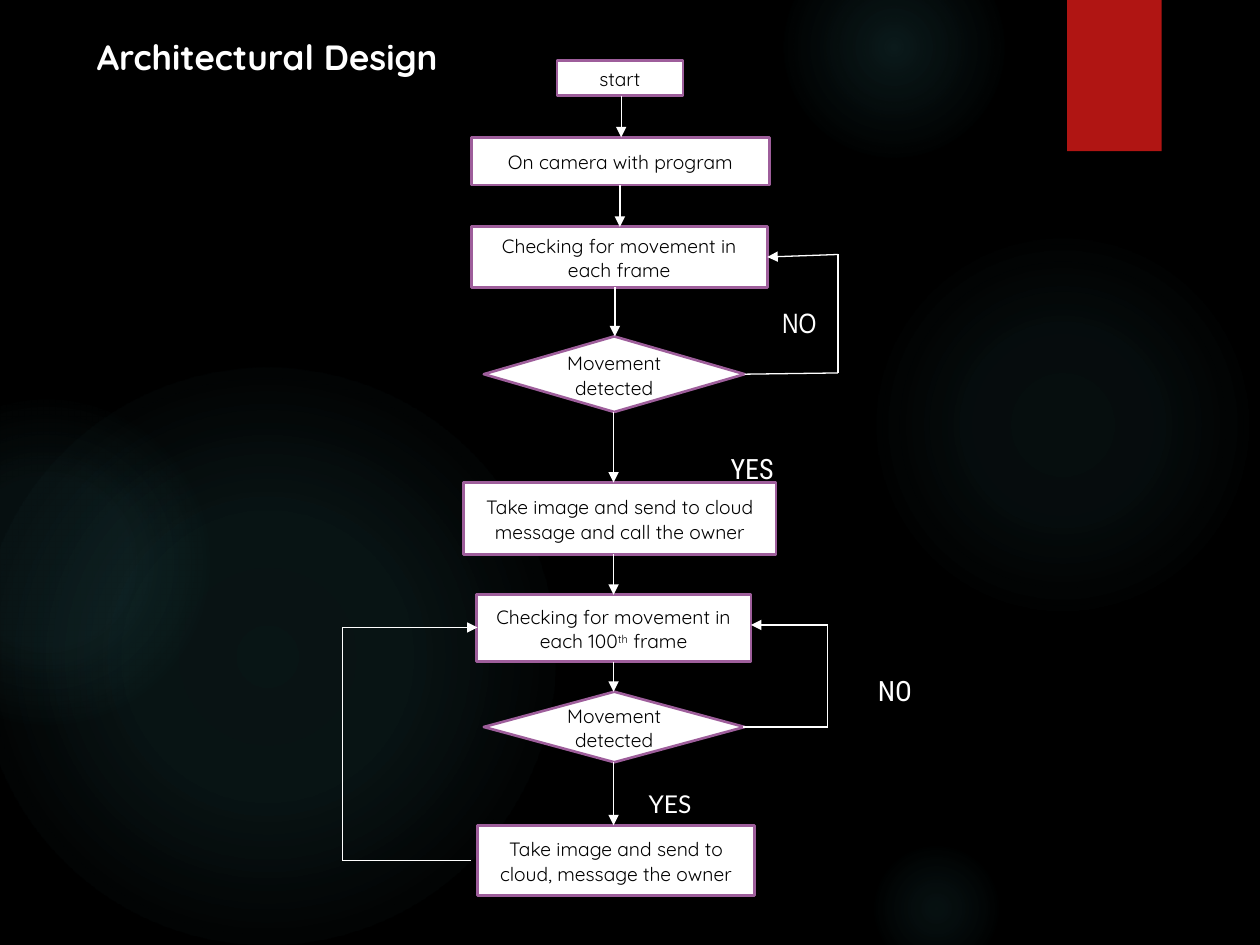
from itertools import pairwise

from lxml import etree
from pptx import Presentation
from pptx.dml.color import RGBColor
from pptx.enum.shapes import MSO_CONNECTOR, MSO_SHAPE
from pptx.enum.text import MSO_ANCHOR, PP_ALIGN
from pptx.oxml import parse_xml
from pptx.oxml.ns import nsdecls, qn
from pptx.util import Inches, Pt

WIDTH, HEIGHT = Inches(10), Inches(7.5)
COLUMN, ROW = WIDTH / 100, HEIGHT / 75

BLACK = RGBColor(0x00, 0x00, 0x00)
WHITE = RGBColor(0xFF, 0xFF, 0xFF)
PURPLE = RGBColor(0x9E, 0x5E, 0x9B)
RED = RGBColor(0xB0, 0x15, 0x13)
TEAL = RGBColor(0x50, 0xB9, 0xC1)

RECTANGLE = MSO_SHAPE.RECTANGLE
DECISION = MSO_SHAPE.FLOWCHART_DECISION
OVAL = MSO_SHAPE.OVAL
STRAIGHT = MSO_CONNECTOR.STRAIGHT
CENTER = PP_ALIGN.CENTER
MIDDLE = MSO_ANCHOR.MIDDLE

# left, top, diameter, (stop position %, opacity %)
GLOWS = [
    (68.9, 18.3, 30.8, [(0, 7), (36, 6), (69, 0)]),
    (62.2, -5, 17.5, [(0, 14), (36, 7), (73, 0)]),
    (68.9, 66.7, 10.8, [(0, 9), (36, 5), (66, 0)]),
    (-1.7, 29.2, 45.8, [(0, 11), (36, 10), (75, 0)]),
    (-9.2, 31.7, 25.8, [(0, 8), (36, 8), (72, 0)]),
]

# kind, (left, top, width, height), text runs, column of the arrow that leaves
STEPS = [
    (RECTANGLE, (44.2, 4.8, 10, 2.8), ["start"], 49.3),
    (RECTANGLE, (37.4, 10.9, 23.7, 3.8), ["On camera with program"], 49.2),
    (RECTANGLE, (37.4, 18, 23.5, 4.8),
     ["Checking for movement in each frame"], 48.8),
    (DECISION, (38.4, 26.7, 20.7, 6), ["Movement detected"], 48.7),
    (RECTANGLE, (36.8, 38.3, 24.8, 5.7),
     ["Take image and send to cloud message and call the owner"], 48.7),
    (RECTANGLE, (37.8, 47.2, 21.8, 5.3),
     ["Checking for movement in each 100", "th", " frame"], 48.7),
    (DECISION, (38.4, 54.9, 20.7, 5.6), ["Movement detected"], 48.7),
    (RECTANGLE, (37.9, 65.5, 22, 5.6),
     ["Take image and send to cloud, message the owner"], None),
]

# corner points of each way back to an earlier step
LOOPS = [
    [(59.1, 29.7), (66.5, 29.6), (66.5, 20.2), (60.9, 20.4)],
    [(59, 57.7), (65.7, 57.7), (65.7, 49.6), (59.6, 49.6)],
    [(37.4, 68.3), (27.2, 68.3), (27.2, 49.8), (37.9, 49.8)],
]

# text, left, middle row, font, size
LABELS = [
    ("NO", 61.1, 25.6, "Arial Narrow", 16),
    ("YES", 57, 37.2, "Roboto Condensed", 16),
    ("NO", 68.7, 54.8, "Roboto Condensed", 16),
    ("YES", 50.5, 63.8, "Lato", 14),
]


def place(left, top, width, height):
    """Turn grid columns and rows into slide lengths."""
    return (round(left * COLUMN), round(top * ROW),
            round(width * COLUMN), round(height * ROW))


def style_span(span, font, size, color, bold=False):
    span.font.name = font
    span.font.size = Pt(size)
    span.font.color.rgb = color
    span.font.bold = bold


def add_block(page, kind, area, color):
    block = page.shapes.add_shape(kind, *place(*area))
    block.shadow.inherit = False
    block.fill.solid()
    block.fill.fore_color.rgb = color
    block.line.fill.background()
    return block


def add_glow(page, left, top, diameter, stops):
    """Add a circle that fades out from its centre."""
    glow = add_block(page, OVAL, (left, top, diameter, diameter), TEAL)
    stop_xml = "".join(
        f'<a:gs pos="{position * 1000}"><a:srgbClr val="{TEAL}">'
        f'<a:alpha val="{opacity * 1000}"/></a:srgbClr></a:gs>'
        for position, opacity in stops)
    gradient = parse_xml(
        f'<a:gradFill {nsdecls("a")}><a:gsLst>{stop_xml}</a:gsLst>'
        '<a:path path="circle"><a:fillToRect l="50000" t="50000" '
        'r="50000" b="50000"/></a:path></a:gradFill>')
    properties = glow._element.spPr
    properties.replace(properties.find(qn("a:solidFill")), gradient)


def add_step(page, kind, area, texts):
    step = add_block(page, kind, area, WHITE)
    step.line.color.rgb = PURPLE
    step.line.width = Pt(1.5)
    frame = step.text_frame
    frame.word_wrap = True
    frame.vertical_anchor = MIDDLE
    para = frame.paragraphs[0]
    para.alignment = CENTER
    para.line_spacing = 1.07
    para.space_after = Pt(8)
    for text in texts:
        span = para.add_run()
        span.text = text
        style_span(span, "Quicksand", 11, BLACK)
        if text == "th":
            span.font._element.set("baseline", "30000")


def add_label(page, text, left, middle, font, size, width=8, bold=False):
    box = page.shapes.add_textbox(*place(left, middle - 2, width, 4))
    frame = box.text_frame
    frame.word_wrap = True
    frame.vertical_anchor = MIDDLE
    frame.text = text
    style_span(frame.paragraphs[0].runs[0], font, size, WHITE, bold)


def add_line(page, start, end, arrow=False):
    line = page.shapes.add_connector(STRAIGHT, *place(*start, *end))
    line.line.color.rgb = WHITE
    line.line.width = Pt(0.75)
    if arrow:
        etree.SubElement(line.line._get_or_add_ln(), qn("a:tailEnd"),
                         type="triangle")
    etree.SubElement(line._element.spPr, qn("a:effectLst"))


def add_loop(page, points):
    """Join the points by lines, with an arrowhead at the last one."""
    for start, end in pairwise(points):
        add_line(page, start, end, arrow=end == points[-1])


def main():
    deck = Presentation()
    deck.slide_width, deck.slide_height = WIDTH, HEIGHT
    page = deck.slides.add_slide(deck.slide_layouts[6])
    page.background.fill.solid()
    page.background.fill.fore_color.rgb = BLACK

    for glow in GLOWS:
        add_glow(page, *glow)
    add_block(page, RECTANGLE, (84.7, 0, 7.5, 12), RED)

    add_label(page, "Architectural Design", 6.7, 4.5, "Quicksand", 20,
              width=34, bold=True)
    for label in LABELS:
        add_label(page, *label)

    for kind, area, texts, _ in STEPS:
        add_step(page, kind, area, texts)
    for (_, area, _, column), (_, next_area, _, _) in pairwise(STEPS):
        bottom = area[1] + area[3]
        add_line(page, (column, bottom), (column, next_area[1]), arrow=True)
    for points in LOOPS:
        add_loop(page, points)

    deck.save("out.pptx")


if __name__ == "__main__":
    main()
